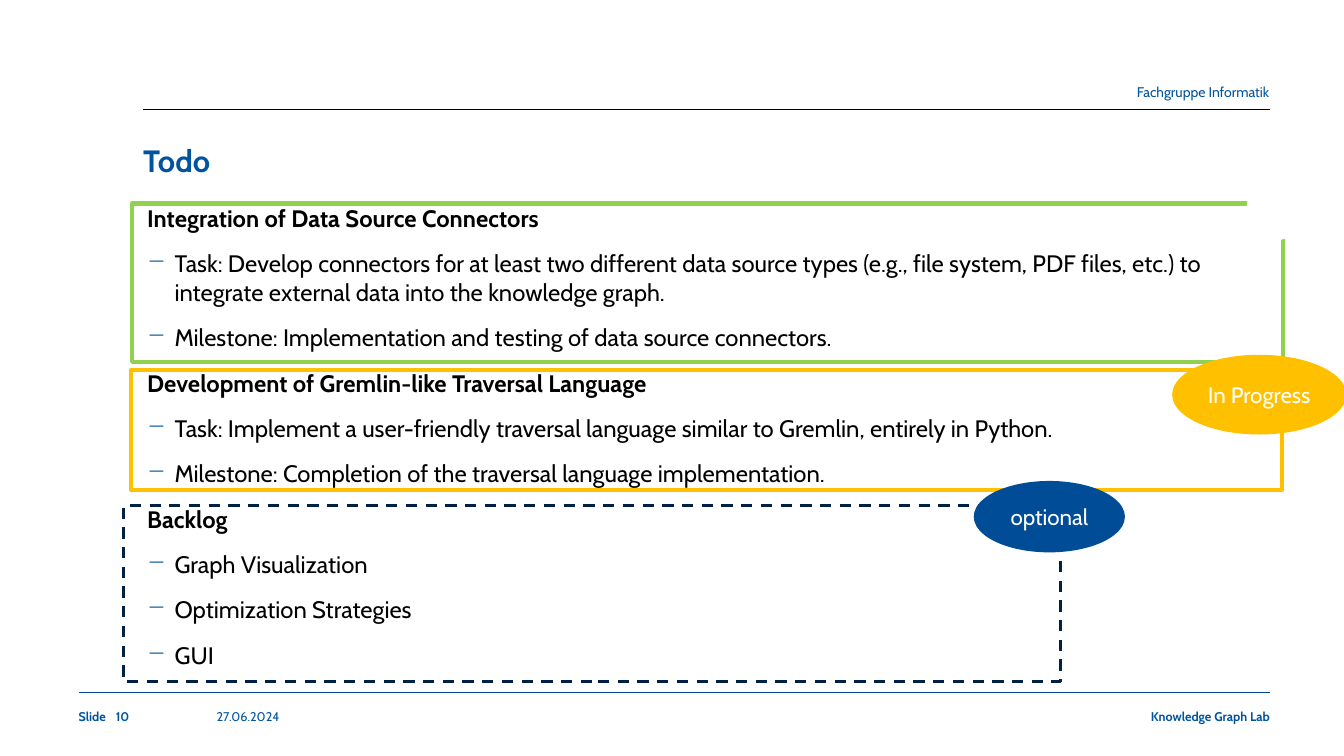
from lxml import etree
from pptx import Presentation
from pptx.dml.color import RGBColor
from pptx.enum import dml, shapes, text
from pptx.oxml import ns
from pptx.util import Cm, Pt

FONT = "Cabin"
BLUE = RGBColor(0x00, 0x54, 0x9F)
BADGE_BLUE = RGBColor(0x00, 0x4C, 0x97)
RULE_BLUE = RGBColor(0x00, 0x4A, 0x94)
NAVY = RGBColor(0x00, 0x21, 0x42)
GREEN = RGBColor(0x92, 0xD0, 0x50)
AMBER = RGBColor(0xFF, 0xC0, 0x00)
BLACK = RGBColor(0, 0, 0)
WHITE = RGBColor(0xFF, 0xFF, 0xFF)

# Content
TITLE = "Todo"
SECTIONS = [
    ("Integration of Data Source Connectors", [
        "Task: Develop connectors for at least two different data source types "
        "(e.g., file system, PDF files, etc.) to integrate external data into "
        "the knowledge graph.",
        "Milestone: Implementation and testing of data source connectors."]),
    ("Development of Gremlin-like Traversal Language", [
        "Task: Implement a user-friendly traversal language similar to Gremlin, "
        "entirely in Python.",
        "Milestone: Completion of the traversal language implementation."]),
    ("Backlog", ["Graph Visualization", "Optimization Strategies", "GUI"]),
]

# Positions in cm: left, top, width, height
RIGHT = 32
FOOT_TOP, FOOT_HEIGHT = 17.86, 0.66
RULES = [(3.61, 2.77, BLACK), (2, 17.45, RULE_BLUE)]  # left, y, colour
FOOTER = [  # text, left, width, bold, alignment
    ("Slide", 1.98, 1.19, True, text.PP_ALIGN.LEFT),
    ("10", 2.92, 1.55, True, text.PP_ALIGN.LEFT),
    ("27.06.2024", 5.46, 3.45, False, text.PP_ALIGN.LEFT),
    ("Knowledge Graph Lab", 10.08, RIGHT - 10.08, True, text.PP_ALIGN.RIGHT),
]
DONE_FRAME = (3.33, 5.13, 29.01, 3.99)
PROGRESS_FRAME = (3.3, 9.32, 29.01, 3.02)
BACKLOG_FRAME = (3.12, 12.73, 23.6, 4.45)
BODY = (3.71, 5.13, 28.4, 11.61)

prs = Presentation()
prs.slide_width, prs.slide_height = Cm(33.87), Cm(19.05)
s = prs.slides.add_slide(prs.slide_layouts[6])


def write(p, words, size=17, color=BLACK, bold=False,
          align=text.PP_ALIGN.LEFT, after=0, bullet=False):
    if bullet:
        pPr = p._p.get_or_add_pPr()
        pPr.set("marL", str(Cm(0.69)))
        pPr.set("indent", str(-Cm(0.69)))
        clr = etree.SubElement(pPr, ns.qn("a:buClr"))
        etree.SubElement(clr, ns.qn("a:srgbClr"), val=str(BLUE))
        etree.SubElement(pPr, ns.qn("a:buChar"), char="−")
    p.alignment, p.space_after = align, Pt(after)
    r = p.add_run()
    r.text = words
    r.font.name, r.font.size, r.font.bold = FONT, Pt(size), bold
    r.font.color.rgb = color


def add_box(*at):
    tf = s.shapes.add_textbox(*map(Cm, at)).text_frame
    tf.margin_left = tf.margin_top = tf.margin_right = tf.margin_bottom = 0
    tf.word_wrap = True
    return tf


def add_shape(kind, at, fill=None, line=None, width=3):
    sp = s.shapes.add_shape(kind, *map(Cm, at))
    sp.shadow.inherit = False
    if fill is None:
        sp.fill.background()
    else:
        sp.fill.solid()
        sp.fill.fore_color.rgb = fill
    if line is None:
        sp.line.fill.background()
    else:
        sp.line.color.rgb, sp.line.width = line, Pt(width)
    return sp


def add_badge(words, at, fill):
    tf = add_shape(shapes.MSO_SHAPE.OVAL, at, fill).text_frame
    tf.vertical_anchor = text.MSO_ANCHOR.MIDDLE
    write(tf.paragraphs[0], words, 16, WHITE, align=text.PP_ALIGN.CENTER)


# Header and footer
for left, y, color in RULES:
    rule = s.shapes.add_connector(shapes.MSO_CONNECTOR.STRAIGHT,
                                  Cm(left), Cm(y), Cm(RIGHT), Cm(y))
    rule.line.color.rgb, rule.line.width = color, Pt(0.75)
    etree.SubElement(rule._element.spPr, ns.qn("a:effectLst"))
write(add_box(19.3, 2.11, 12.68, 0.61).paragraphs[0], "Fachgruppe Informatik",
      10, BLUE, align=text.PP_ALIGN.RIGHT)
for words, left, width, bold, align in FOOTER:
    write(add_box(left, FOOT_TOP, width, FOOT_HEIGHT).paragraphs[0],
          words, 9, BLUE, bold, align)

# Title and task list
add_shape(shapes.MSO_SHAPE.RECTANGLE, DONE_FRAME, line=GREEN)
write(add_box(3.61, 3.58, 28.4, 1.09).paragraphs[0], TITLE, 22, BLUE, True)
tf = add_box(*BODY)
for i, (heading, items) in enumerate(SECTIONS):
    p = tf.add_paragraph() if i else tf.paragraphs[0]
    write(p, heading, bold=True, after=12)
    for item in items:
        write(tf.add_paragraph(), item, after=12, bullet=True)

# Frames and badges
backlog = add_shape(shapes.MSO_SHAPE.RECTANGLE, BACKLOG_FRAME, line=NAVY, width=2)
backlog.line.dash_style = dml.MSO_LINE.DASH
add_shape(shapes.MSO_SHAPE.RECTANGLE, PROGRESS_FRAME, line=AMBER)
add_badge("optional", (24.54, 12.12, 3.81, 1.8), BADGE_BLUE)
add_shape(shapes.MSO_SHAPE.OVAL, (31.45, 4.52, 1.4, 1.5), WHITE, WHITE, 2)
add_badge("In Progress", (29.54, 8.94, 4.39, 2.01), AMBER)

prs.save("out.pptx")
